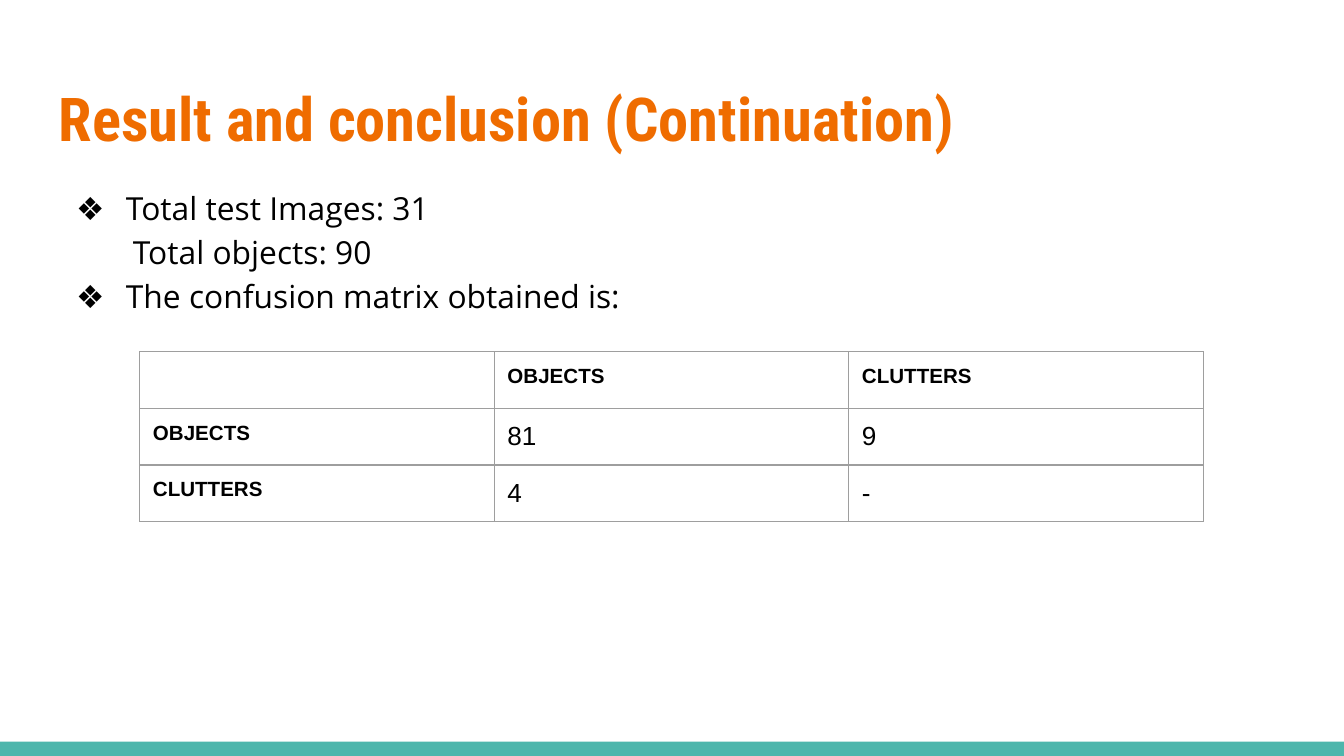
from lxml.etree import SubElement
from pptx import Presentation
from pptx.dml.color import RGBColor
from pptx.enum.shapes import MSO_SHAPE as Shape
from pptx.enum.text import MSO_ANCHOR as Anchor, MSO_AUTO_SIZE as AutoSize, PP_ALIGN as Align
from pptx.oxml.ns import qn
from pptx.util import Cm, Pt

BLACK = RGBColor(0x00, 0x00, 0x00)
WHITE = RGBColor(0xFF, 0xFF, 0xFF)
ORANGE = RGBColor(0xEF, 0x6C, 0x00)
TEAL = RGBColor(0x4D, 0xB6, 0xAC)
GREY = RGBColor(0x9E, 0x9E, 0x9E)

TITLE = "Result and conclusion (Continuation)"
POINTS = [  # text, bullet
    ("Total test Images: 31", "❖"),
    ("Total objects: 90", None),
    ("The confusion matrix obtained is:", "❖"),
]
MATRIX = [
    ("", "OBJECTS", "CLUTTERS"),
    ("OBJECTS", "81", "9"),
    ("CLUTTERS", "4", "-"),
]

TITLE_FONT = dict(name="Roboto Condensed", size=Pt(32.4), bold=True)
BODY_FONT = dict(name="Open Sans", size=Pt(17), bold=False)
HEAD_FONT = dict(name="Arial", size=Pt(11), bold=True)
VALUE_FONT = dict(name="Arial", size=Pt(14), bold=False)

SLIDE_W, SLIDE_H, BAR_H = Cm(25.4), Cm(14.29), Cm(0.27)
LEFT, WIDTH = Cm(0.86), Cm(23.67)
TITLE_TOP, TITLE_H = Cm(1.24), Cm(1.96)
BODY_H = Cm(9.17)
TABLE_LEFT, TABLE_TOP, COL_W, ROW_H = Cm(2.64), Cm(6.65), Cm(6.7), Cm(1.07)
INSET = Cm(0.25)
BULLET_INDENT, HANGING, PLAIN_INDENT = Cm(1.27), Cm(0.94), Cm(1.4)


def set_attrs(obj, **values):
    for name, value in values.items():
        setattr(obj, name, value)


def set_font(font, style, color):
    set_attrs(font, **style)
    font.color.rgb = color


def set_insets(obj):
    for side in ("left", "right", "top", "bottom"):
        setattr(obj, f"margin_{side}", INSET)


def place(ph, top, height, anchor):
    set_attrs(ph, left=LEFT, top=top, width=WIDTH, height=height)
    tf = ph.text_frame
    set_attrs(tf, word_wrap=True, auto_size=AutoSize.NONE, vertical_anchor=anchor)
    set_insets(tf)
    return tf


def set_bullet(p, bullet):
    pPr = p._p.get_or_add_pPr()
    pPr.set("marL", str(BULLET_INDENT if bullet else PLAIN_INDENT))
    pPr.set("indent", str(-HANGING if bullet else 0))
    if bullet:
        color = SubElement(pPr, qn("a:buClr"))
        SubElement(color, qn("a:srgbClr"), val=str(BLACK))
        SubElement(pPr, qn("a:buFont"), typeface=BODY_FONT["name"])
        SubElement(pPr, qn("a:buChar"), char=bullet)
    else:
        SubElement(pPr, qn("a:buNone"))


def set_borders(cell):
    tcPr = cell._tc.get_or_add_tcPr()
    for i, side in enumerate(("lnL", "lnR", "lnT", "lnB")):
        ln = tcPr.makeelement(qn(f"a:{side}"), {"w": str(Pt(0.75))})
        fill = SubElement(ln, qn("a:solidFill"))
        SubElement(fill, qn("a:srgbClr"), val=str(GREY))
        tcPr.insert(i, ln)


def add_matrix(s):
    n_rows, n_cols = len(MATRIX), len(MATRIX[0])
    table = s.shapes.add_table(n_rows, n_cols, TABLE_LEFT, TABLE_TOP,
                               COL_W * n_cols, ROW_H * n_rows).table
    set_attrs(table, first_row=False, horz_banding=False)
    for row in table.rows:
        row.height = ROW_H
    for r, texts in enumerate(MATRIX):
        for c, text in enumerate(texts):
            cell = table.cell(r, c)
            set_insets(cell)
            cell.fill.solid()
            cell.fill.fore_color.rgb = WHITE
            set_borders(cell)
            p = cell.text_frame.paragraphs[0]
            style = VALUE_FONT if r and c else HEAD_FONT
            if text:
                run = p.add_run()
                run.text = text
                set_font(run.font, style, BLACK)
            else:  # keeps the empty cell from stretching its row
                end = SubElement(p._p, qn("a:endParaRPr"))
                end.set("sz", str(int(style["size"].pt * 100)))


def main():
    prs = Presentation()
    set_attrs(prs, slide_width=SLIDE_W, slide_height=SLIDE_H)
    s = prs.slides.add_slide(prs.slide_layouts[1])

    bar = s.shapes.add_shape(Shape.RECTANGLE, 0, SLIDE_H - BAR_H, SLIDE_W, BAR_H)
    bar.shadow.inherit = False
    bar.fill.solid()
    bar.fill.fore_color.rgb = TEAL
    bar.line.fill.background()

    p = place(s.shapes.title, TITLE_TOP, TITLE_H, Anchor.MIDDLE).paragraphs[0]
    p.alignment = Align.LEFT
    run = p.add_run()
    run.text = TITLE
    set_font(run.font, TITLE_FONT, ORANGE)

    tf = place(s.placeholders[1], TITLE_TOP + TITLE_H, BODY_H, Anchor.TOP)
    for i, (text, bullet) in enumerate(POINTS):
        p = tf.add_paragraph() if i else tf.paragraphs[0]
        set_attrs(p, alignment=Align.JUSTIFY, line_spacing=1.16,
                  space_before=Pt(0), space_after=Pt(0))
        set_bullet(p, bullet)
        run = p.add_run()
        run.text = text
        set_font(run.font, BODY_FONT, BLACK)

    add_matrix(s)
    prs.save("out.pptx")


if __name__ == "__main__":
    main()
